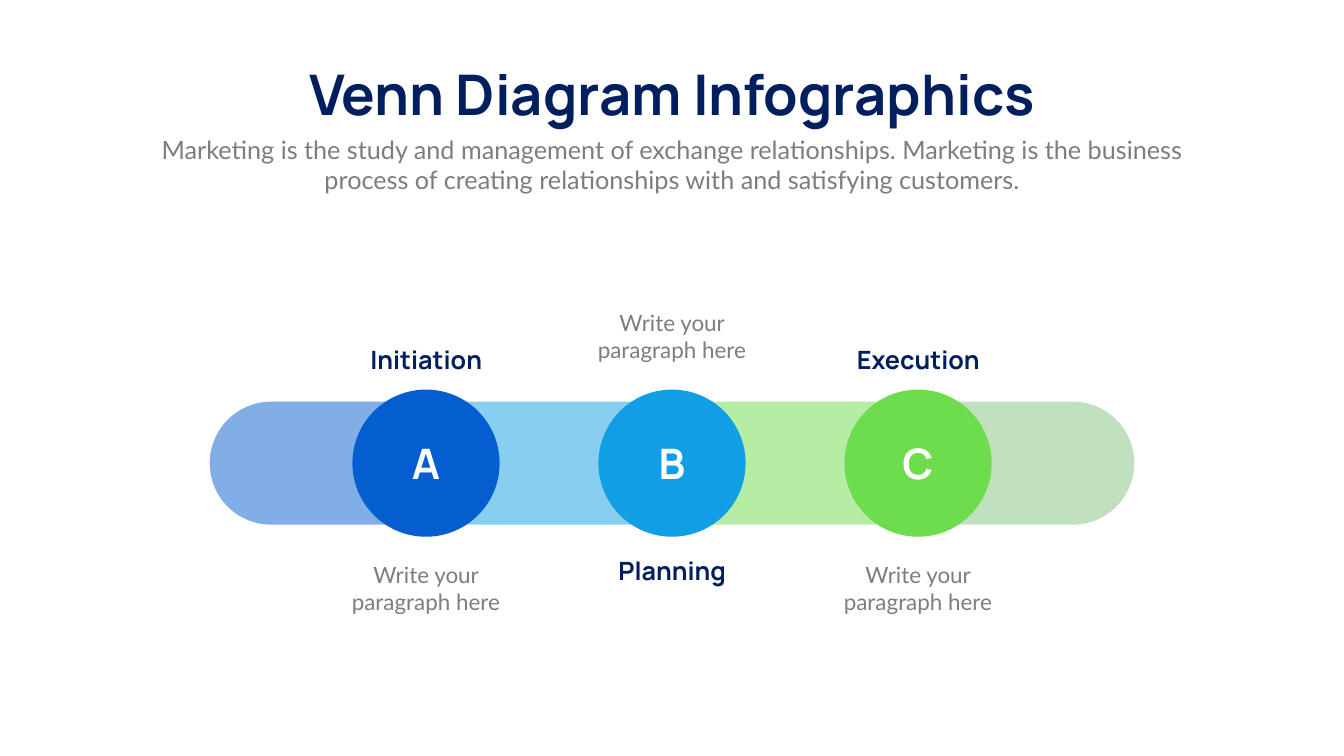
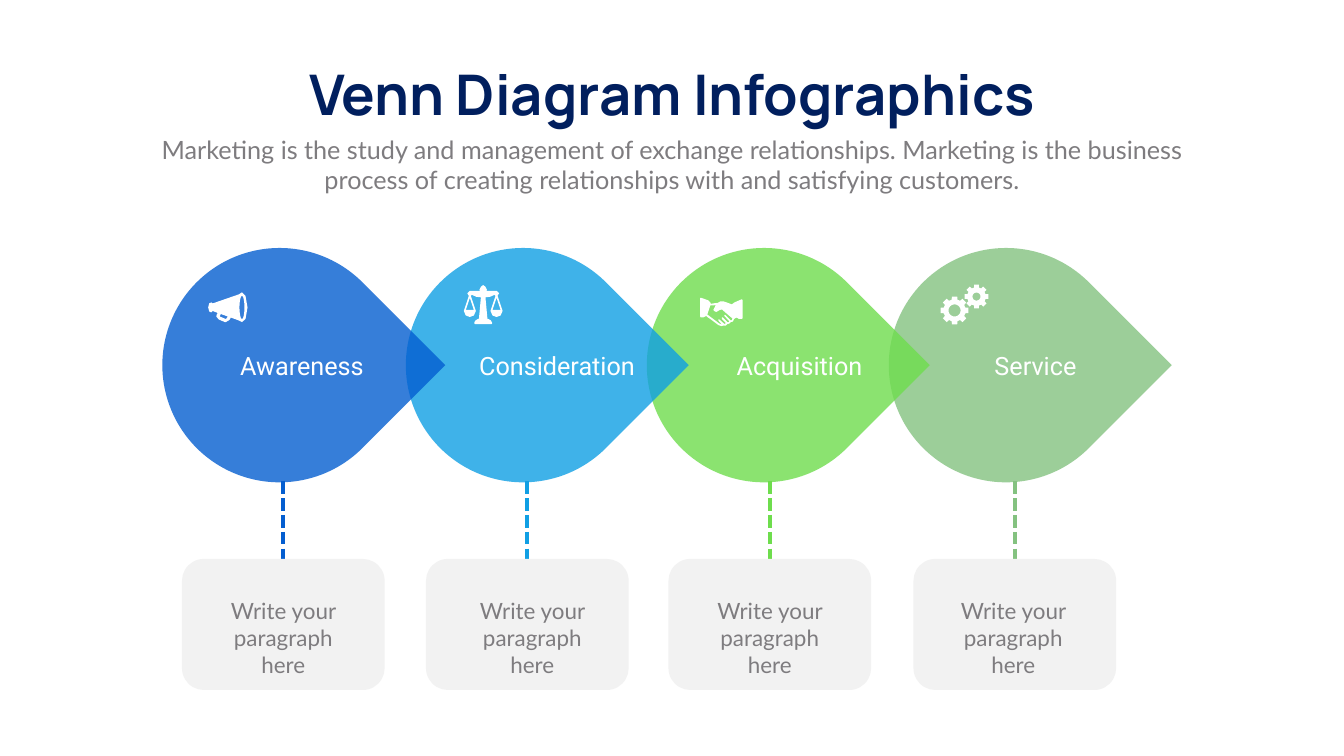
import math
from dataclasses import dataclass

import lxml.etree
import pptx
import pptx.dml.color
import pptx.enum.dml
import pptx.enum.shapes
import pptx.enum.text
import pptx.oxml.ns
import pptx.util

Inches = pptx.util.Inches
SHAPES = pptx.enum.shapes.MSO_SHAPE
Contour = list[tuple[float, float]]

NAVY, GREY, WHITE, CARD_GREY = "011F5E", "7E7C7F", "FFFFFF", "F2F2F2"
BLUE, SKY, LIME, SAGE = "045ED0", "109FE4", "6EDD4D", "84C280"

TITLE = "Venn Diagram Infographics"
INTRO = (
    "Marketing is the study and management of exchange relationships. "
    "Marketing is the business process of creating relationships with "
    "and satisfying customers."
)
NOTE = "Write your paragraph here"

TITLE_STYLE = {"size": 80, "name": "Manrope", "color": NAVY, "bold": True}
INTRO_STYLE = {"size": 36, "name": "Lato", "color": GREY, "bold": False}
NOTE_STYLE = INTRO_STYLE | {"size": 32}
HEADING_STYLE = TITLE_STYLE | {"size": 36}
LETTER_STYLE = TITLE_STYLE | {"size": 60, "color": WHITE}
LABEL_STYLE = INTRO_STYLE | {"name": "Roboto", "color": WHITE}


@dataclass
class Box:
    left: float
    top: float
    width: float
    height: float

    def lengths(self) -> list:
        return [Inches(v) for v in (self.left, self.top, self.width, self.height)]


@dataclass
class Phase:
    letter: str
    heading: str
    color: str
    heading_top: float
    note_top: float


@dataclass
class Bar:
    left: float
    width: float
    color: str


@dataclass
class Stage:
    label: str
    color: str
    drop_left: float
    card_left: float
    label_left: float
    label_width: float
    note_left: float
    icon_left: float
    icon_top: float
    icon: list[Contour]


def rgb(color: str) -> pptx.dml.color.RGBColor:
    return pptx.dml.color.RGBColor.from_string(color)


def write(shape, box: Box, text: str, style: dict, wrap: bool = True) -> None:
    for side, length in zip(("left", "top", "width", "height"), box.lengths()):
        setattr(shape, side, length)
    frame_format = {
        "word_wrap": wrap,
        "auto_size": pptx.enum.text.MSO_AUTO_SIZE.SHAPE_TO_FIT_TEXT,
        "vertical_anchor": pptx.enum.text.MSO_ANCHOR.TOP,
    }
    for key, value in frame_format.items():
        setattr(shape.text_frame, key, value)
    paragraph = shape.text_frame.paragraphs[0]
    paragraph.alignment = pptx.enum.text.PP_ALIGN.CENTER
    paragraph.space_before = pptx.util.Pt(0)
    run = paragraph.add_run()
    run.text = text
    font_format = {
        "size": pptx.util.Pt(style["size"]),
        "name": style["name"],
        "bold": style["bold"],
    }
    for key, value in font_format.items():
        setattr(run.font, key, value)
    run.font.color.rgb = rgb(style["color"])


def add_text(slide, box: Box, text: str, style: dict) -> None:
    write(slide.shapes.add_textbox(*box.lengths()), box, text, style)


def paint(shape, color: str, opacity: int = 100) -> None:
    shape.shadow.inherit = False
    shape.fill.solid()
    shape.fill.fore_color.rgb = rgb(color)
    shape.line.fill.background()
    if opacity < 100:
        qn = pptx.oxml.ns.qn
        tint = shape.element.spPr.find(f"{qn('a:solidFill')}/{qn('a:srgbClr')}")
        lxml.etree.SubElement(tint, qn("a:alpha"), val=str(opacity * 1000))


def add_filled(slide, kind, box: Box, color: str, opacity: int = 100):
    shape = slide.shapes.add_shape(kind, *box.lengths())
    paint(shape, color, opacity)
    return shape


def add_dashed_line(slide, x: float, top: float, bottom: float, color: str):
    line = slide.shapes.add_connector(
        pptx.enum.shapes.MSO_CONNECTOR.STRAIGHT,
        Inches(x), Inches(top), Inches(x), Inches(bottom),
    )
    line.line.color.rgb = rgb(color)
    line.line.width = pptx.util.Pt(6)
    line.line.dash_style = pptx.enum.dml.MSO_LINE.SQUARE_DOT
    lxml.etree.SubElement(line._element.spPr, pptx.oxml.ns.qn("a:effectLst"))
    return line


def add_icon(slide, left: float, top: float, contours: list[Contour]) -> None:
    fine = [[(x * 10, y * 10) for x, y in contour] for contour in contours]
    builder = slide.shapes.build_freeform(*fine[0][0], scale=Inches(1) / 1000)
    for index, contour in enumerate(fine):
        if index:
            builder.move_to(*contour[0])
        builder.add_line_segments(contour[1:], close=True)
    paint(builder.convert_to_shape(Inches(left), Inches(top)), WHITE)


def polar(cx: float, cy: float, rx: float, ry: float, degrees: float):
    angle = math.radians(degrees)
    return cx + rx * math.cos(angle), cy + ry * math.sin(angle)


def oval(cx: float, cy: float, rx: float, ry: float) -> Contour:
    return [polar(cx, cy, rx, ry, degrees) for degrees in range(0, 360, 15)]


def gear(cx: float, cy: float, outer: float, root: float, hole: float) -> list[Contour]:
    tooth = [(-15, root), (-11, outer), (11, outer), (15, root)]
    rim = [
        polar(cx, cy, radius, radius, turn + offset)
        for turn in range(0, 360, 45)
        for offset, radius in tooth
    ]
    return [rim, oval(cx, cy, hole, hole)]


def mirrored(contour: Contour, width: float) -> Contour:
    return [(width - x, y) for x, y in reversed(contour)]


MEGAPHONE = [
    [(67, 0), (61, 4), (9, 22), (6, 20), (2, 22), (0, 30), (2, 38), (6, 40),
     (9, 37), (19, 41), (17, 44), (16, 48), (21, 54), (33, 59), (35, 59),
     (42, 55), (45, 50), (61, 56), (67, 59), (74, 53), (78, 30), (74, 7)],
    [(36, 52), (35, 53), (23, 48), (23, 47), (25, 43), (39, 48)],
    oval(67, 30, 5, 23),
]
HALF_SCALES = [
    (38, 0), (34, 3), (31, 9), (32, 11), (12, 11), (7, 16), (10, 21), (0, 51),
    (4, 60), (12, 63), (20, 60), (24, 51), (14, 21), (16, 19), (25, 23),
    (34, 24), (30, 67), (28, 67), (23, 70), (21, 74), (21, 76), (22, 77),
]
PAN_GAP = [(20, 49), (4, 49), (12, 25)]
SCALES = [HALF_SCALES + mirrored(HALF_SCALES, 77), PAN_GAP, mirrored(PAN_GAP, 77)]
HANDSHAKE = [
    [(85, 4), (83, 3), (69, 9), (65, 12), (64, 13), (53, 9), (47, 7), (41, 7),
     (36, 10), (27, 11), (22, 12), (21, 9), (17, 5), (3, 0), (1, 0), (1, 37),
     (2, 39), (7, 39), (13, 36), (15, 38), (21, 42), (37, 54), (43, 56),
     (47, 55), (52, 55), (55, 52), (59, 51), (62, 48), (66, 47), (68, 42),
     (73, 39), (78, 42), (84, 42), (85, 40)],
    [(64, 44), (62, 45), (51, 34), (49, 34), (49, 36), (59, 47), (58, 48),
     (55, 48), (46, 39), (44, 39), (44, 42), (52, 50), (50, 52), (48, 51),
     (39, 43), (37, 43), (37, 45), (44, 53), (43, 53), (39, 51), (23, 39),
     (15, 33), (21, 15), (28, 15), (32, 14), (27, 24), (30, 27), (33, 28),
     (40, 24), (44, 23), (52, 30), (65, 41)],
]
GEARS = gear(27.5, 51, 28, 22, 12) + gear(71, 23.5, 24, 18.5, 8)

BARS = [
    Bar(16.99, 5.51, SAGE),
    Bar(12.11, 7.32, LIME),
    Bar(4.16, 5.51, BLUE),
    Bar(7.23, 7.32, SKY),
]
PHASES = [
    Phase("A", "Initiation", BLUE, 6.79, 11.08),
    Phase("B", "Planning", SKY, 10.96, 6.08),
    Phase("C", "Execution", LIME, 6.79, 11.08),
]
STAGES = [
    Stage("Awareness", BLUE, 3.22, 3.61, 4.36, 3.26, 4.05, 4.13, 5.8, MEGAPHONE),
    Stage("Consideration", SKY, 8.05, 8.45, 9.25, 3.6, 8.99, 9.2, 5.66, SCALES),
    Stage("Acquisition", LIME, 12.83, 13.26, 14.06, 3.6, 13.7, 13.88, 5.91, HANDSHAKE),
    Stage("Service", SAGE, 17.63, 18.12, 18.74, 3.6, 18.53, 18.66, 5.65, GEARS),
]


def add_headed_slide(deck):
    slide = deck.slides.add_slide(deck.slide_layouts[0])
    heading, intro = slide.placeholders
    write(heading, Box(5.25, 1.14, 16.17, 1.45), TITLE, TITLE_STYLE, wrap=False)
    write(intro, Box(2.92, 2.61, 20.82, 1.31), INTRO, INTRO_STYLE)
    return slide


def build_phases(deck) -> None:
    slide = add_headed_slide(deck)
    for bar in BARS:
        box = Box(bar.left, 7.97, bar.width, 2.44)
        band = add_filled(slide, SHAPES.ROUNDED_RECTANGLE, box, bar.color, 50)
        band.adjustments[0] = 0.5
    centers = [8.45 + 4.88 * index for index in range(len(PHASES))]
    for center, phase in zip(centers, PHASES):
        add_filled(slide, SHAPES.OVAL, Box(center - 1.46, 7.73, 2.92, 2.92), phase.color)
    for center, phase in zip(centers, PHASES):
        add_text(slide, Box(center - 1.18, 8.64, 2.36, 1.11), phase.letter, LETTER_STYLE)
        add_text(slide, Box(center - 1.83, phase.note_top, 3.66, 1.18), NOTE, NOTE_STYLE)
        heading_box = Box(center - 1.85, phase.heading_top, 3.71, 0.71)
        add_text(slide, heading_box, phase.heading, HEADING_STYLE)


def build_stages(deck) -> None:
    slide = add_headed_slide(deck)
    card_width, card_top = 4.02, 11.09
    stems = [
        add_dashed_line(slide, stage.card_left + card_width / 2, 9.55, card_top, stage.color)
        for stage in STAGES
    ]
    for stage in reversed(STAGES):
        box = Box(stage.drop_left, 4.92, 4.65, 4.65)
        add_filled(slide, SHAPES.TEAR, box, stage.color, 80).rotation = 45
    for stage, stem in zip(STAGES, stems):
        box = Box(stage.card_left, card_top, card_width, 2.6)
        card = add_filled(slide, SHAPES.ROUNDED_RECTANGLE, box, CARD_GREY)
        stem.end_connect(card, 0)
    for stage in STAGES:
        label_box = Box(stage.label_left, 6.9, stage.label_width, 0.71)
        add_text(slide, label_box, stage.label, LABEL_STYLE)
        add_text(slide, Box(stage.note_left, 11.8, 3.14, 1.18), NOTE, NOTE_STYLE)
        add_icon(slide, stage.icon_left, stage.icon_top, stage.icon)


def main() -> None:
    deck = pptx.Presentation()
    deck.slide_width, deck.slide_height = Inches(26.66), Inches(15)
    build_phases(deck)
    build_stages(deck)
    deck.save("out.pptx")


if __name__ == "__main__":
    main()
